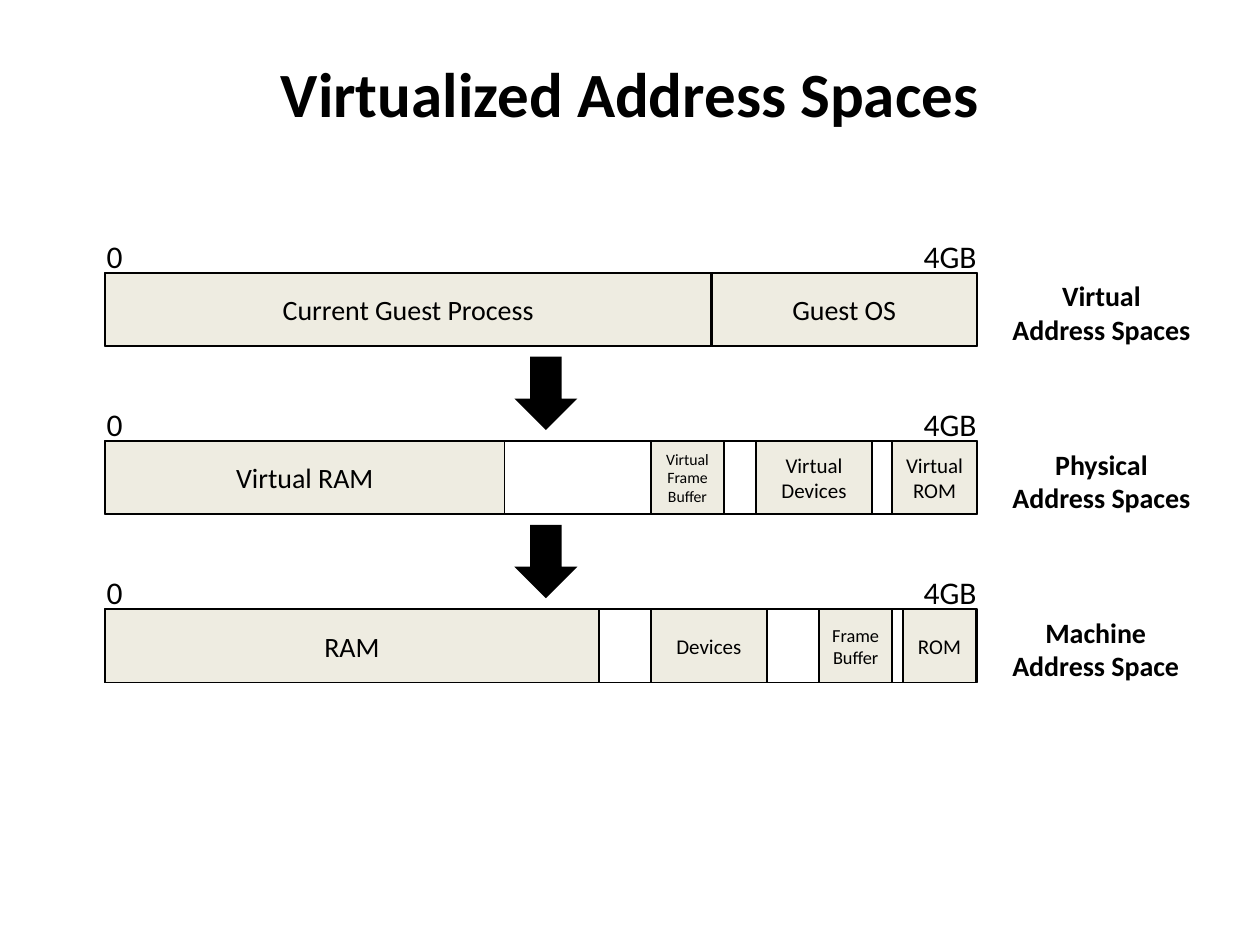
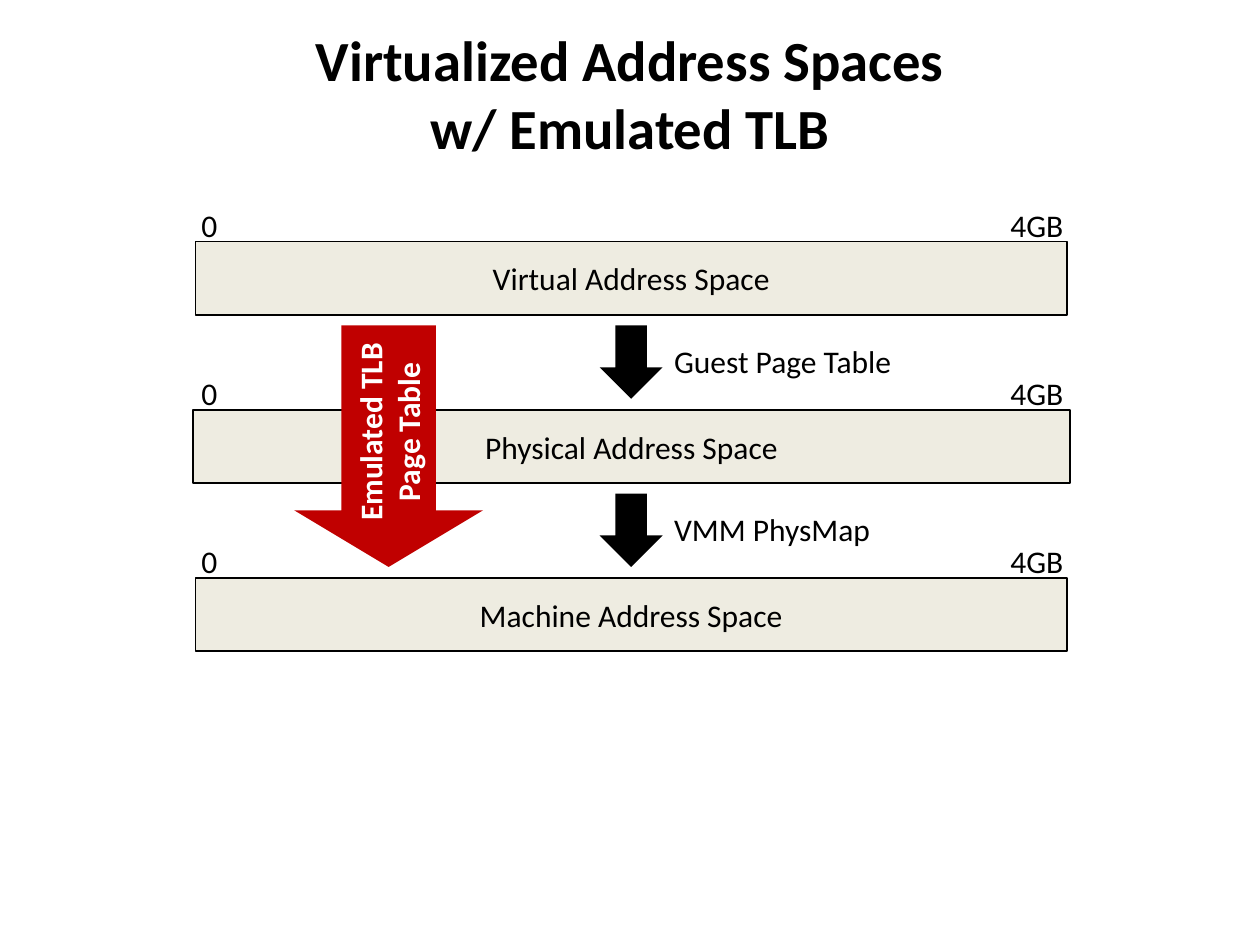
from dataclasses import dataclass

from pptx import Presentation
from pptx import util as u
from pptx.dml.color import RGBColor
from pptx.enum import shapes, text


@dataclass(frozen=True)
class Theme:
    font: str = "Calibri"
    ink: RGBColor = RGBColor(0x00, 0x00, 0x00)
    paper: RGBColor = RGBColor(0xFF, 0xFF, 0xFF)
    used: RGBColor = RGBColor(0xEE, 0xEC, 0xE1)
    accent: RGBColor = RGBColor(0xC0, 0x00, 0x00)
    title: float = 36
    long_title: float = 32.4
    label: float = 18
    region: float = 16
    device: float = 12
    narrow: float = 10.5
    tiny: float = 9


THEME = Theme()
RECT = shapes.MSO_SHAPE.RECTANGLE
ARROW = shapes.MSO_SHAPE.DOWN_ARROW
LEFT, CENTER = text.PP_ALIGN.LEFT, text.PP_ALIGN.CENTER
TOP, MIDDLE = text.MSO_ANCHOR.TOP, text.MSO_ANCHOR.MIDDLE

ROW_PITCH = 3.39
BAR_HEIGHT = 1.48
ARROW_DROP = 1.69
ARROW_WIDTH = 1.27
LABEL_RISE = 0.85
LABEL_HEIGHT = 1.02


def write(page, words, area, box=None, size=THEME.label, bold=False,
          color=THEME.ink, align=LEFT, anchor=TOP):
    """Write words into box, or into a new text box at area (cm)."""
    box = box or page.shapes.add_textbox(*map(u.Cm, area))
    frame = box.text_frame
    frame.word_wrap = False
    frame.vertical_anchor = anchor
    frame.text = words
    for para in frame.paragraphs:
        para.alignment = align
        for span in para.runs:
            span.font.name = THEME.font
            span.font.size = u.Pt(size)
            span.font.bold = bold
            span.font.color.rgb = color
    return box


def draw(page, kind, area, fill, outlined=False):
    """Add a flat preset shape at area (cm)."""
    shape = page.shapes.add_shape(kind, *map(u.Cm, area))
    shape.shadow.inherit = False
    shape.fill.solid()
    shape.fill.fore_color.rgb = fill
    if outlined:
        shape.line.color.rgb = THEME.ink
        shape.line.width = u.Pt(1)
    else:
        shape.line.fill.background()
    return shape


deck = Presentation()
deck.slide_width, deck.slide_height = u.Cm(25.4), u.Cm(19.05)

# Shared frame of both slides: title, 0 and 4GB marks, arrows between rows
layouts = [
    # title, title size, first bar top, left of "0", left of "4GB", left of arrows
    ("Virtualized Address Spaces", THEME.title, 5.5, 1.9, 18.37, 10.37),
    ("Virtualized Address Spaces\vw/ Emulated TLB", THEME.long_title,
     4.87, 3.81, 20.12, 12.09),
]
pages = []
for title, title_size, first_top, zero_left, limit_left, arrow_left in layouts:
    page = deck.slides.add_slide(deck.slide_layouts[6])
    write(page, title, (1.27, 0.76, 22.86, 2.21), size=title_size, bold=True,
          align=CENTER, anchor=MIDDLE)
    tops = [first_top + row * ROW_PITCH for row in range(3)]
    for top in tops:
        write(page, "0", (zero_left, top - LABEL_RISE, 0.84, LABEL_HEIGHT))
        write(page, "4GB", (limit_left, top - LABEL_RISE, 1.6, LABEL_HEIGHT))
    for top in tops[:2]:
        draw(page, ARROW, (arrow_left, top + ARROW_DROP, ARROW_WIDTH, BAR_HEIGHT),
             THEME.ink)
    pages.append((page, tops))

# Slide 1: regions inside each address space
page, tops = pages[0]
SPACE_LEFT, SPACE_WIDTH = 2.12, 17.57
spaces = [
    ("Virtual\nAddress Spaces", 4.17, [
        ("Current Guest Process", SPACE_LEFT, 12.22, THEME.region),
        ("Guest OS", 14.35, 5.34, THEME.region)]),
    ("Physical\nAddress Spaces", 4.17, [
        ("Virtual RAM", SPACE_LEFT, 8.05, THEME.region),
        ("Virtual\nFrame\nBuffer", 13.12, 1.48, THEME.tiny),
        ("Virtual\nDevices", 15.24, 2.34, THEME.device),
        ("Virtual\nROM", 17.99, 1.7, THEME.device)]),
    ("Machine\nAddress Space", 3.94, [
        ("RAM", SPACE_LEFT, 9.95, THEME.region),
        ("Devices", 13.12, 2.34, THEME.device),
        ("Frame\nBuffer", 16.51, 1.48, THEME.narrow),
        ("ROM", 18.2, 1.48, THEME.device)]),
]
for top, (caption, caption_width, regions) in zip(tops, spaces):
    draw(page, RECT, (SPACE_LEFT, top, SPACE_WIDTH, BAR_HEIGHT), THEME.paper, True)
    write(page, caption, (20.12, top, caption_width, 1.63), size=THEME.region,
          bold=True, align=CENTER)
    for name, left, width, size in regions:
        area = (left, top, width, BAR_HEIGHT)
        region = draw(page, RECT, area, THEME.used, True)
        write(page, name, area, region, size=size, align=CENTER, anchor=MIDDLE)

# Slide 2: whole address spaces, their mappings and the emulated TLB
page, tops = pages[1]
bars = [
    ("Virtual Address Space", 3.94, 17.57),
    ("Physical Address Space", 3.89, 17.68),
    ("Machine Address Space", 3.94, 17.57),
]
for top, (name, left, width) in zip(tops, bars):
    area = (left, top, width, BAR_HEIGHT)
    bar = draw(page, RECT, area, THEME.used, True)
    write(page, name, area, bar, align=CENTER, anchor=MIDDLE)

mappings = [("Guest Page Table", 4.95), ("VMM PhysMap", 4.5)]
for top, (name, width) in zip(tops, mappings):
    write(page, name, (13.34, top + 1.9, width, LABEL_HEIGHT))

area = (5.93, tops[0] + ARROW_DROP, 3.81, ROW_PITCH + BAR_HEIGHT)
shortcut = draw(page, ARROW, area, THEME.accent)
shortcut.adjustments[0], shortcut.adjustments[1] = 0.5, 0.3
write(page, "Emulated TLB\nPage Table", area, shortcut, bold=True,
      color=THEME.paper, align=CENTER, anchor=MIDDLE)
shortcut.element.txBody.bodyPr.set("vert", "vert270")

deck.save("out.pptx")
